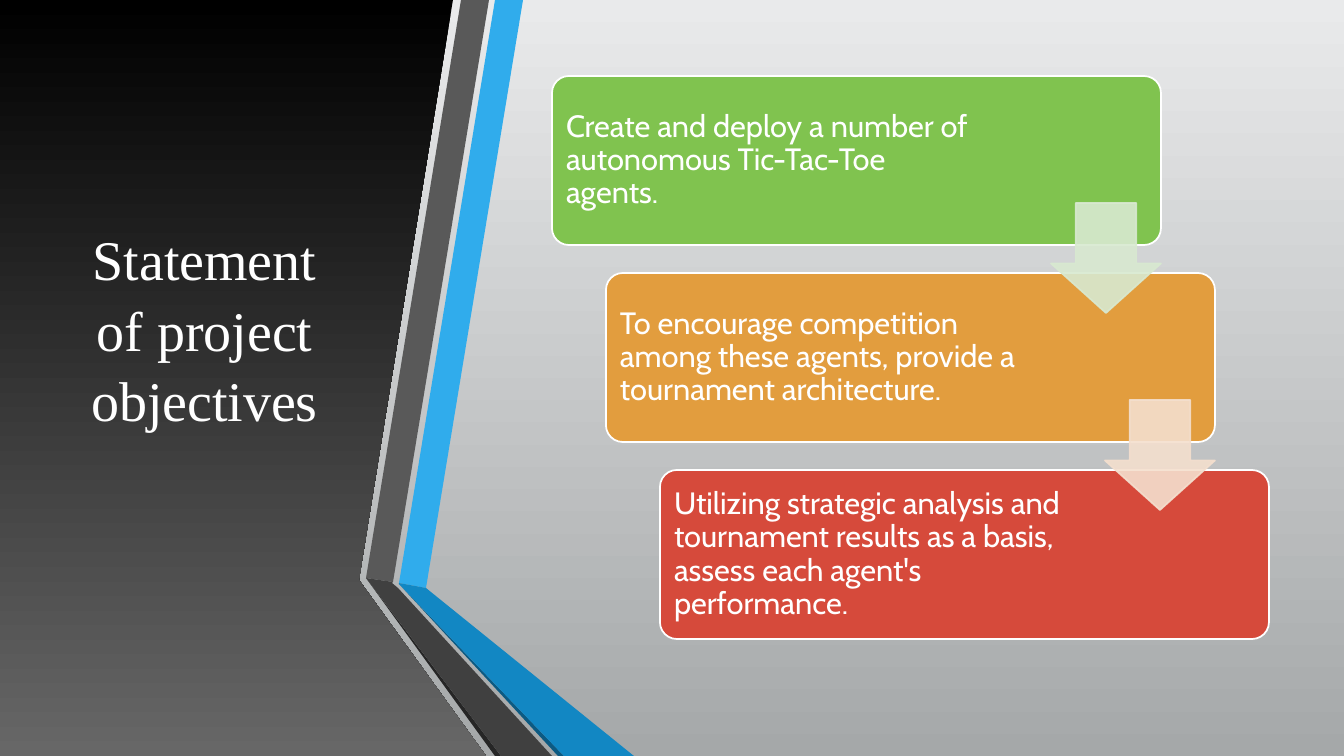
from lxml.etree import SubElement
from pptx import Presentation
from pptx.dml.color import RGBColor
from pptx.enum.shapes import MSO_SHAPE
from pptx.enum.text import MSO_ANCHOR, PP_ALIGN
from pptx.oxml.ns import qn
from pptx.util import Emu, Pt

SLIDE_WIDTH, SLIDE_HEIGHT = 1344, 756
EMU_PER_PX = 12192000 / SLIDE_WIDTH

WHITE = RGBColor(0xFF, 0xFF, 0xFF)
BLACK = RGBColor(0x00, 0x00, 0x00)
PANEL_GRAY = RGBColor(0x67, 0x67, 0x67)
BACKDROP_TOP = RGBColor(0xE9, 0xEA, 0xEB)
BACKDROP_BOTTOM = RGBColor(0xA5, 0xA8, 0xA9)
BLUE = RGBColor(0x30, 0xAC, 0xEC)
BLUE_FOLD = RGBColor(0x12, 0x87, 0xC3)
BLUE_SHADE = RGBColor(0x0C, 0x5A, 0x82)
GRAY = RGBColor(0x59, 0x59, 0x59)
GRAY_FOLD = RGBColor(0x40, 0x40, 0x40)
GRAY_SHADE = RGBColor(0x26, 0x26, 0x26)
GREEN = RGBColor(0x80, 0xC3, 0x4F)
ORANGE = RGBColor(0xE2, 0x9D, 0x3E)
RED = RGBColor(0xD6, 0x4A, 0x3B)
PALE_GREEN = RGBColor(0xD8, 0xE9, 0xD0)
PALE_ORANGE = RGBColor(0xF4, 0xDF, 0xCE)

PANEL = [(0, 0), (453, 0), (359, 580), (486, 756), (0, 756)]
RIBBONS = [
    (BLUE, [(399, 583), (426, 588), (523, 0), (495, 0)]),
    (GRAY, [(489, 0), (461, 0), (366, 578), (393, 582)]),
    (GRAY_SHADE, [(366, 578), (495, 756), (501, 756)]),
    (BLUE_SHADE, [(399, 584), (558, 756), (564, 756)]),
    (BLUE_FOLD, [(399, 584), (564, 756), (634, 756), (426, 588), (399, 583)]),
    (GRAY_FOLD, [(552, 756), (398, 588), (392, 583), (393, 582), (366, 578), (501, 756)]),
]
OBJECTIVES = [
    ("Create and deploy a number of autonomous Tic-Tac-Toe agents.", GREEN, 426),
    ("To encourage competition among these agents, provide a tournament architecture.",
     ORANGE, 435),
    ("Utilizing strategic analysis and tournament results as a basis, "
     "assess each agent's performance.", RED, 435),
]
ARROW_COLORS = [PALE_GREEN, PALE_ORANGE]
STEP_LEFT, STEP_TOP = 552, 76
STEP_RIGHT, STEP_DOWN = 54, 197


def px(length):
    """Turn pixels into EMU."""
    return Emu(round(length * EMU_PER_PX))


def fill_gradient(fill, top, bottom):
    """Apply a vertical two-colour gradient."""
    fill.gradient()
    fill.gradient_angle = 270
    for stop, color in zip(fill.gradient_stops, (top, bottom)):
        stop.color.rgb = color


def add_outline(slide, points):
    """Add a closed polygon without line or shadow."""
    builder = slide.shapes.build_freeform(*points[0], scale=EMU_PER_PX)
    builder.add_line_segments(points[1:], close=True)
    outline = builder.convert_to_shape()
    outline.shadow.inherit = False
    outline.line.fill.background()
    return outline


def add_preset(slide, preset, box, color, line_color, adjustments):
    """Add a filled and outlined preset shape."""
    body = slide.shapes.add_shape(preset, *map(px, box))
    body.shadow.inherit = False
    for index, value in enumerate(adjustments):
        body.adjustments[index] = value
    body.fill.solid()
    body.fill.fore_color.rgb = color
    body.line.color.rgb = line_color
    body.line.width = Pt(1.25)
    return body


def add_text(slide, box, text, font, size, align, spacing):
    """Add a wrapped, vertically centred white text."""
    frame = slide.shapes.add_textbox(*map(px, box)).text_frame
    frame.word_wrap = True
    frame.vertical_anchor = MSO_ANCHOR.MIDDLE
    frame.margin_left = frame.margin_right = px(9)
    frame.margin_top = frame.margin_bottom = px(9)
    paragraph = frame.paragraphs[0]
    paragraph.alignment = align
    paragraph.line_spacing = spacing
    run = paragraph.add_run()
    run.text = text
    run.font.name = font
    run.font.size = Pt(size)
    run.font.color.rgb = WHITE


def add_objective(slide, index, text, color, text_width):
    """Add one step of the staircase with its text."""
    left = STEP_LEFT + index * STEP_RIGHT
    top = STEP_TOP + index * STEP_DOWN
    add_preset(slide, MSO_SHAPE.ROUNDED_RECTANGLE, (left, top, 609, 169), color, WHITE, [0.1])
    add_text(slide, (left + 5, top + 5, text_width, 159), text, "Cabin", 22, PP_ALIGN.LEFT, 0.9)


def add_step_arrow(slide, index, color):
    """Add a translucent arrow leading to the next step."""
    left = STEP_LEFT + index * STEP_RIGHT + 499
    top = STEP_TOP + index * STEP_DOWN + 127
    arrow = add_preset(slide, MSO_SHAPE.DOWN_ARROW, (left, top, 110, 110), color, color,
                       [0.55, 0.45])
    for tint in arrow._element.spPr.iter(qn("a:srgbClr")):
        SubElement(tint, qn("a:alpha"), val="90000")


def main():
    """Build and save the objectives slide."""
    deck = Presentation()
    deck.slide_width, deck.slide_height = px(SLIDE_WIDTH), px(SLIDE_HEIGHT)
    slide = deck.slides.add_slide(deck.slide_layouts[6])

    fill_gradient(slide.background.fill, BACKDROP_TOP, BACKDROP_BOTTOM)
    title_panel = add_outline(slide, PANEL)
    fill_gradient(title_panel.fill, BLACK, PANEL_GRAY)
    add_text(slide, (59, 76, 291, 502), "Statement of project objectives",
             "Times New Roman", 40, PP_ALIGN.CENTER, 1.05)

    for color, points in RIBBONS:
        ribbon = add_outline(slide, points)
        ribbon.fill.solid()
        ribbon.fill.fore_color.rgb = color

    for index, objective in enumerate(OBJECTIVES):
        add_objective(slide, index, *objective)
    for index, color in enumerate(ARROW_COLORS):
        add_step_arrow(slide, index, color)

    deck.save("out.pptx")


if __name__ == "__main__":
    main()
